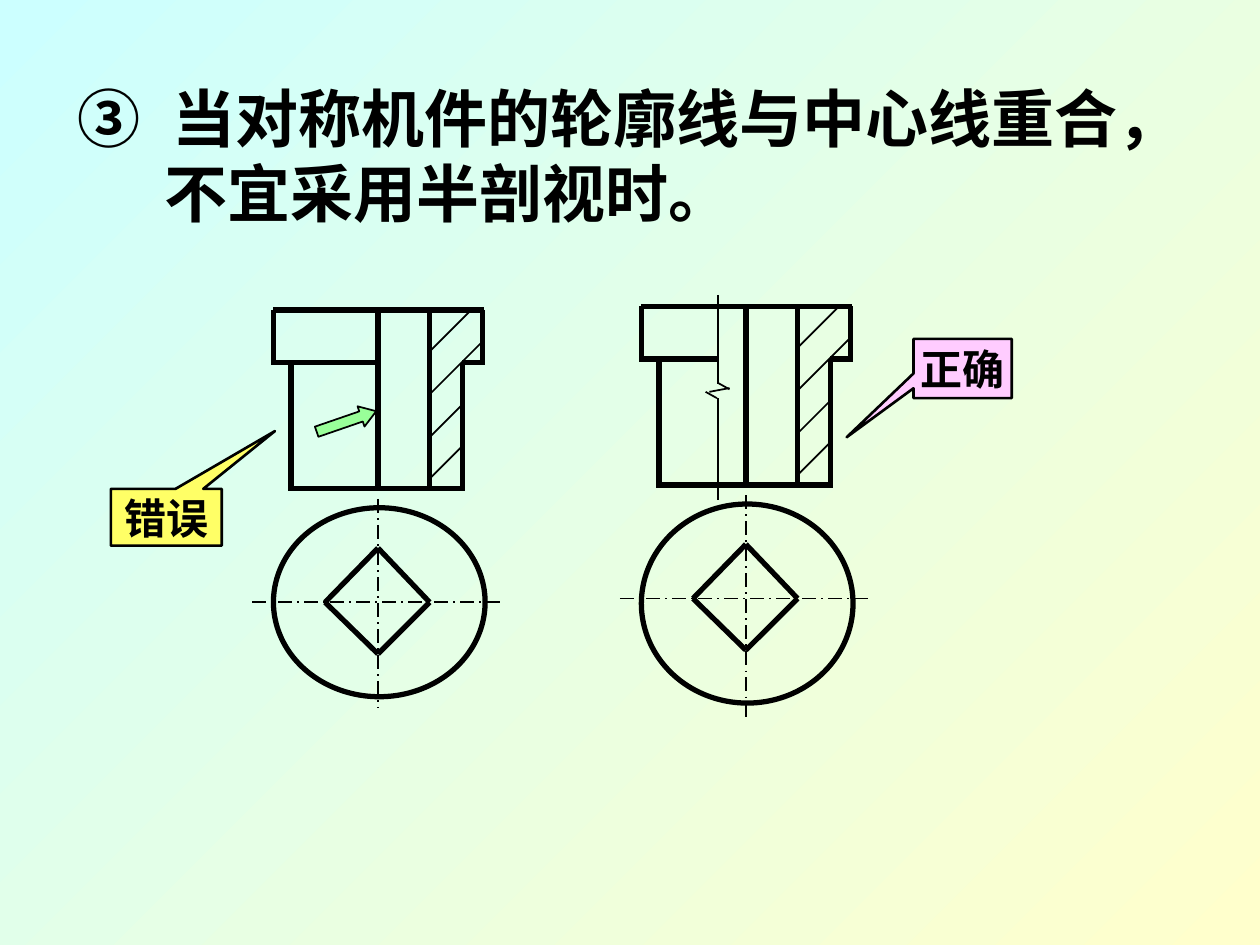
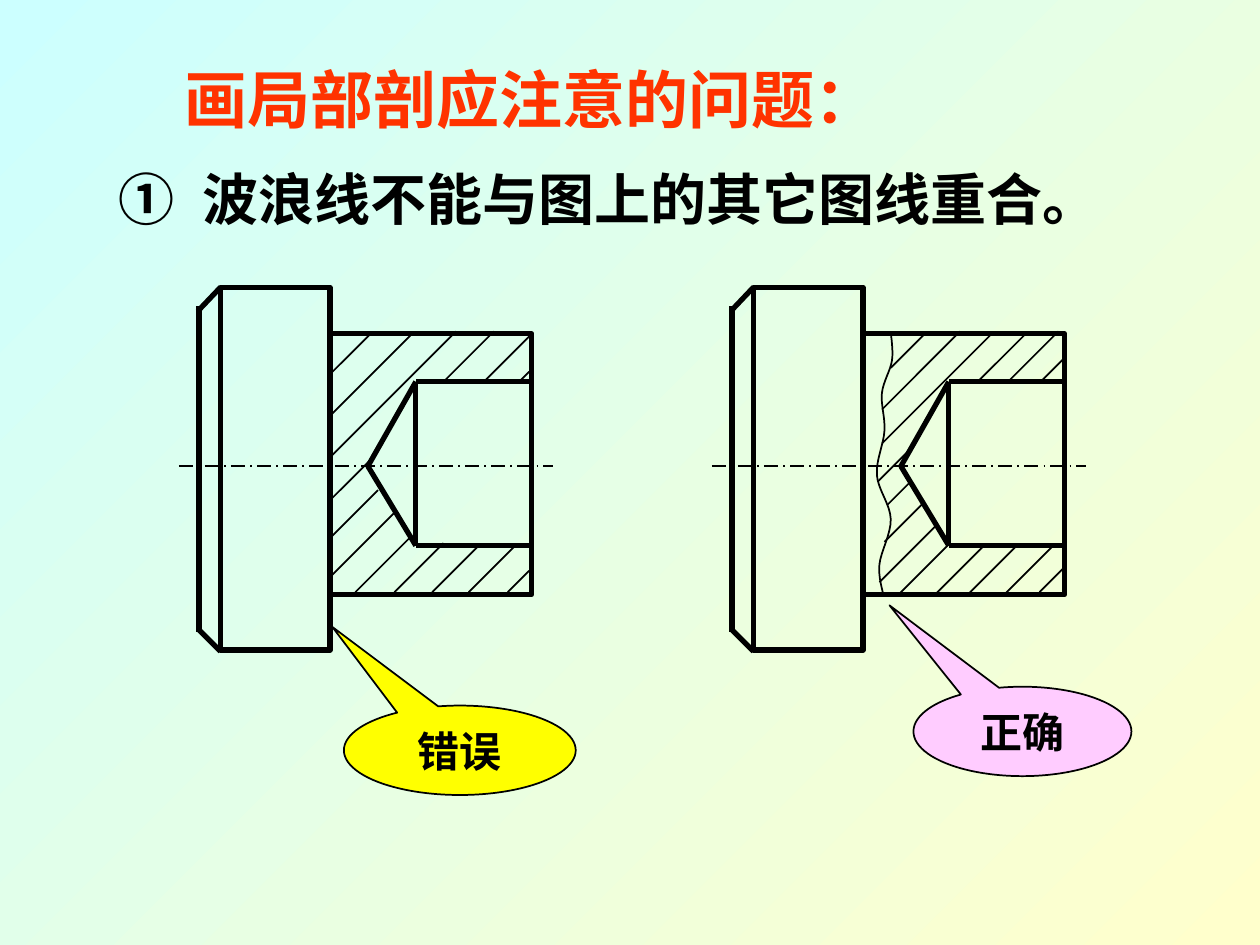
from dataclasses import dataclass
from typing import Any, NamedTuple

from lxml.etree import SubElement
from pptx import Presentation
from pptx.dml.color import RGBColor
from pptx.enum.dml import MSO_LINE
from pptx.enum.shapes import MSO_CONNECTOR, MSO_SHAPE
from pptx.enum.text import MSO_ANCHOR, PP_ALIGN
from pptx.oxml.ns import qn
from pptx.util import Inches, Pt

COLORS = {
    "ink": "000000",
    "title": "FF3300",
    "sky": "CCFFFF",
    "cream": "FFFFCC",
    "green": "99FF99",
    "lemon": "FFFF66",
    "yellow": "FFFF00",
    "pink": "FFCCFF",
}
FONT = "Times New Roman"
THICK, THIN = 3, 1


class Line(NamedTuple):
    x: float
    y: float
    end_x: float
    end_y: float


class Hatch(NamedTuple):
    x: float
    y: float
    size: float


class Box(NamedTuple):
    x: float
    y: float
    width: float
    height: float


@dataclass
class Label:
    box: Box
    lines: list[str]
    size: int
    color: str = "ink"
    tab: float = 0
    indent: float = 0
    wrap: bool = True
    anchor: Any = MSO_ANCHOR.TOP


@dataclass
class Callout:
    kind: Any
    box: Box
    tip: tuple[float, float]
    text: str
    fill: str
    width: float


@dataclass
class Part:
    thick: list[Line]
    thin: list[Line]
    axes: list[Line]
    hatch: list[Hatch]
    shapes: list[tuple[Any, Box]]
    move: tuple[float, float] = (0, 0)


def rgb(name: str) -> RGBColor:
    return RGBColor.from_string(COLORS[name])


def new_slide(deck: Any) -> Any:
    slide = deck.slides.add_slide(deck.slide_layouts[6])
    fill = slide.background.fill
    fill.gradient()
    fill.gradient_angle = 315
    for stop, name, place in zip(fill.gradient_stops, ("sky", "cream"), (0, 1)):
        stop.color.rgb = rgb(name)
        stop.position = place
    return slide


def style_runs(para: Any, size: int, color: str) -> None:
    for run in para.runs:
        run.font.name = FONT
        run.font.size = Pt(size)
        run.font.bold = True
        run.font.color.rgb = rgb(color)


def add_label(slide: Any, label: Label) -> None:
    frame = slide.shapes.add_textbox(*map(Inches, label.box)).text_frame
    frame.word_wrap = label.wrap
    frame.vertical_anchor = label.anchor
    frame.text = "\n".join(label.lines)
    for para in frame.paragraphs:
        props = para._p.get_or_add_pPr()
        if "\t" in para.text:
            stops = SubElement(props, qn("a:tabLst"))
            SubElement(stops, qn("a:tab"), pos=str(Inches(label.tab)), algn="l")
        elif label.indent:
            props.set("marL", str(Inches(label.indent)))
            props.set("indent", "0")
        style_runs(para, label.size, label.color)


def add_shape(shapes: Any, kind: Any, box: Box, width: float, fill: str = "") -> Any:
    shape = shapes.add_shape(kind, *map(Inches, box))
    finish(shape, width, fill)
    return shape


def finish(shape: Any, width: float, fill: str = "") -> None:
    shape.shadow.inherit = False
    if fill:
        shape.fill.solid()
        shape.fill.fore_color.rgb = rgb(fill)
    else:
        shape.fill.background()
    shape.line.color.rgb = rgb("ink")
    shape.line.width = Pt(width)


def add_callout(slide: Any, note: Callout) -> None:
    shape = add_shape(slide.shapes, note.kind, note.box, note.width, note.fill)
    for index, value in enumerate(note.tip):
        shape.adjustments[index] = value
    frame = shape.text_frame
    frame.word_wrap = note.kind == MSO_SHAPE.OVAL_CALLOUT
    frame.vertical_anchor = MSO_ANCHOR.MIDDLE
    frame.text = note.text
    para = frame.paragraphs[0]
    para.alignment = PP_ALIGN.CENTER
    style_runs(para, 24, "ink")


def add_line(shapes: Any, line: Line, width: float, dash: bool = False) -> None:
    link = shapes.add_connector(MSO_CONNECTOR.STRAIGHT, *map(Inches, line))
    link.line.color.rgb = rgb("ink")
    link.line.width = Pt(width)
    if dash:
        link.line.dash_style = MSO_LINE.LONG_DASH_DOT
    SubElement(link._element.spPr, qn("a:effectLst"))


def add_part(slide: Any, part: Part) -> Any:
    shapes = slide.shapes.add_group_shape().shapes
    right, down = part.move
    for kind, box in part.shapes:
        moved = Box(box.x + right, box.y + down, box.width, box.height)
        add_shape(shapes, kind, moved, THICK)
    slants = [Line(x, y, x + size, y - size) for x, y, size in part.hatch]
    pens = (
        (part.axes, THIN, True),
        (part.thin + slants, THIN, False),
        (part.thick, THICK, False),
    )
    for lines, width, dash in pens:
        for x, y, end_x, end_y in lines:
            moved = Line(x + right, y + down, end_x + right, end_y + down)
            add_line(shapes, moved, width, dash)
    return shapes


def smooth(knots: list[tuple[float, float]], steps: int = 8) -> list[tuple[int, int]]:
    ends = [knots[0], *knots, knots[-1]]
    points = [knots[0]]
    for a, b, c, d in zip(ends, ends[1:], ends[2:], ends[3:]):
        for step in range(1, steps + 1):
            t = step / steps
            points.append(tuple(
                q + t * ((r - p) + t * (2 * p - 5 * q + 4 * r - s + t * (3 * (q - r) + s - p))) / 2
                for p, q, r, s in zip(a, b, c, d)
            ))
    return [(Inches(x), Inches(y)) for x, y in points]


def add_wave(shapes: Any, knots: list[tuple[float, float]]) -> None:
    points = smooth(knots)
    path = shapes.build_freeform(*points[0])
    path.add_line_segments(points[1:], close=False)
    finish(path.convert_to_shape(), THIN)


def sleeve(neck: float, tall: float, foot: float, move: tuple[float, float]) -> Part:
    mid, level = 3, 4.78
    tips = [(2.58, level), (mid, 4.35), (3.41, level), (mid, 5.19)]
    sides = [Line(*a, *b) for a, b in zip(tips, tips[1:] + tips[:1])]
    return Part(
        thick=sides + [
            Line(2.17, 2.46, 3.84, 2.46),
            Line(2.17, 2.46, 2.17, 2.9),
            Line(2.17, 2.88, neck, 2.88),
            Line(3.83, 2.46, 3.83, 2.9),
            Line(3.67, 2.88, 3.85, 2.88),
            Line(2.31, 2.88, 2.31, 3.9),
            Line(mid, 2.46, mid, 3.88),
            Line(3.41, 2.46, 3.41, 3.88),
            Line(3.67, 2.88, 3.67, 3.9),
            Line(2.31, 3.88, 3.67, 3.88),
        ],
        thin=[],
        axes=[Line(2, level, 4, level), Line(mid, 3.96, mid, foot)],
        hatch=[Hatch(3.41, 2.79, 0.33), Hatch(3.41, 3.13, 0.42),
               Hatch(3.41, 3.47, 0.27), Hatch(3.41, 3.8, 0.27)],
        shapes=[(MSO_SHAPE.OVAL, Box(2.17, 4.03, 1.68, tall))],
        move=move,
    )


def stud(hatch: list[Hatch], right: float = 0) -> Part:
    top, level, low = 3.03, 3.7, 4.33
    return Part(
        thick=[
            Line(1.75, 2.28, 1.57, 2.47),
            Line(1.75, 5.17, 1.58, 5),
            Line(1.58, 2.43, 1.58, 5.02),
            Line(3.3, top, 4.23, top),
            Line(3.3, low, 4.23, low),
            Line(3.3, top, 3.3, low),
            Line(3.3, top, 2.92, level),
            Line(2.92, level, 3.3, low),
        ],
        thin=[],
        axes=[Line(1.42, level, 4.39, level)],
        hatch=hatch,
        shapes=[(MSO_SHAPE.RECTANGLE, Box(1.75, 2.28, 0.87, 2.88)),
                (MSO_SHAPE.RECTANGLE, Box(2.62, 2.65, 1.6, 2.07))],
        move=(right, 0),
    )


def sleeve_slide(deck: Any) -> None:
    slide = new_slide(deck)
    add_label(slide, Label(
        Box(0.52, 0.58, 9.48, 1.3),
        ["③\t当对称机件的轮廓线与中心线重合，", "不宜采用半剖视时。"],
        36, tab=0.75, indent=0.69, anchor=MSO_ANCHOR.MIDDLE))
    add_part(slide, sleeve(3, 1.5, 5.62, (0, 0)))
    good = sleeve(2.79, 1.58, 5.72, (2.92, -0.03))
    good.thin = [
        Line(2.78, 2.37, 2.78, 3.08),
        Line(2.78, 3.07, 2.87, 3.12),
        Line(2.71, 3.14, 2.87, 3.11),
        Line(2.68, 3.14, 2.77, 3.19),
        Line(2.78, 3.19, 2.78, 4),
    ]
    add_part(slide, good)
    arrow = add_shape(slide.shapes, MSO_SHAPE.RIGHT_ARROW, Box(2.5, 3.26, 0.5, 0.17), THIN, "green")
    arrow.adjustments[1] = 0.75
    arrow.rotation = 341
    kind = MSO_SHAPE.RECTANGULAR_CALLOUT
    add_callout(slide, Callout(kind, Box(0.88, 3.88, 0.88, 0.45), (0.98, -1.52), "错误", "lemon", 1.5))
    add_callout(slide, Callout(kind, Box(7.25, 2.69, 0.78, 0.47), (-1.18, 1.16), "正确", "pink", 1.5))


def stud_slide(deck: Any) -> None:
    slide = new_slide(deck)
    add_label(slide, Label(
        Box(1.37, 0.43, 5.7, 0.7), ["画局部剖应注意的问题："], 36, "title", wrap=False))
    add_label(slide, Label(
        Box(0.84, 1.26, 7.93, 0.64), ["①\t波浪线不能与图上的其它图线重合。"], 32, tab=0.67))
    shift = 4.23
    bad = [
        (2.62, 2.97, 0.33), (2.62, 3.3, 0.66), (2.62, 3.63, 1), (2.62, 3.97, 0.31),
        (3.53, 3.02, 0.39), (3.85, 3.02, 0.35), (4.13, 3.02, 0.07),
        (2.62, 4.27, 0.38), (2.62, 4.58, 0.51), (2.82, 4.7, 0.43), (3.13, 4.7, 0.39),
        (3.43, 4.7, 0.38), (3.72, 4.7, 0.38), (4.03, 4.7, 0.17),
    ]
    good = [
        (2.84, 2.92, 0.28), (2.77, 3.25, 0.62), (2.77, 3.52, 0.87), (2.74, 3.82, 0.25),
        (3.54, 3.02, 0.38), (3.77, 3.03, 0.4), (4.04, 3.02, 0.18),
        (2.81, 4.01, 0.18), (2.79, 4.3, 0.3), (2.75, 4.62, 0.45), (2.9, 4.72, 0.4),
        (3.19, 4.72, 0.39), (3.45, 4.72, 0.4), (3.74, 4.72, 0.4), (4.02, 4.7, 0.2),
    ]
    add_part(slide, stud([Hatch(*item) for item in bad]))
    shapes = add_part(slide, stud([Hatch(*item) for item in good], shift))
    add_wave(shapes, [
        (7.07, 2.63), (7.08, 2.86), (7, 3.12), (7.02, 3.42),
        (6.96, 3.77), (7.07, 4.12), (6.98, 4.48), (7.01, 4.72),
    ])
    kind = MSO_SHAPE.OVAL_CALLOUT
    add_callout(slide, Callout(kind, Box(2.73, 5.6, 1.84, 0.71), (-0.55, -1.38), "错误", "yellow", 1))
    add_callout(slide, Callout(kind, Box(7.25, 5.45, 1.73, 0.71), (-0.61, -1.41), "正确", "pink", 1))


def main() -> None:
    deck = Presentation()
    deck.slide_width, deck.slide_height = Inches(10), Inches(7.5)
    sleeve_slide(deck)
    stud_slide(deck)
    deck.save("out.pptx")


if __name__ == "__main__":
    main()
